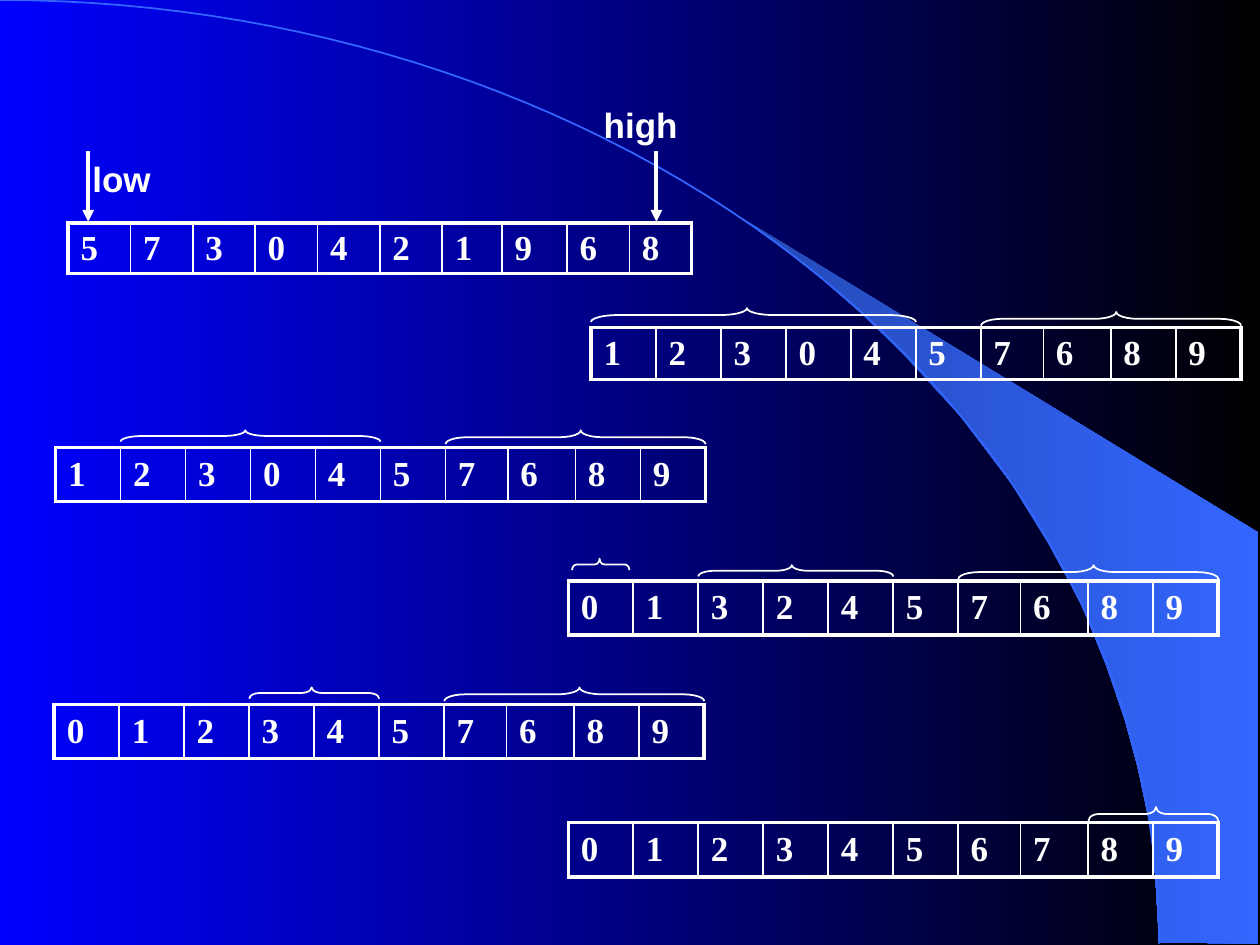
import math

import lxml.etree
import pptx
import pptx.dml.color
import pptx.enum.shapes
import pptx.enum.text
import pptx.oxml.ns
import pptx.util

Inches, Pt = pptx.util.Inches, pptx.util.Pt
RGBColor = pptx.dml.color.RGBColor
SHAPE = pptx.enum.shapes.MSO_SHAPE
qn = pptx.oxml.ns.qn

WHITE = RGBColor(0xFF, 0xFF, 0xFF)
BLUE = RGBColor(0x00, 0x00, 0xFF)
BLACK = RGBColor(0x00, 0x00, 0x00)
ARC_BLUE = RGBColor(0x33, 0x66, 0xFF)
BEAM_BLUE = RGBColor(0x24, 0x49, 0xB6)


def set_gradient(fill, start, end):
    fill.gradient()
    fill.gradient_angle = 0
    for stop, color in zip(fill.gradient_stops, (start, end)):
        stop.color.rgb = color


def add_run(p, text, font):
    r = p.add_run()
    r.text = text
    r.font.name = font
    r.font.size = Pt(20)
    r.font.bold = True
    r.font.color.rgb = WHITE


prs = pptx.Presentation()
prs.slide_width, prs.slide_height = Inches(10), Inches(7.5)
s = prs.slides.add_slide(prs.slide_layouts[6])
set_gradient(s.background.fill, BLUE, BLACK)

# Light beam behind the arc
BEAM = [(9.2, 7.48), (9.99, 7.49), (9.99, 4.23), (5.89, 1.73), (6.24, 1.99),
        (6.53, 2.22), (6.85, 2.5), (7.16, 2.8), (7.62, 3.3), (8.03, 3.84),
        (8.32, 4.31), (8.58, 4.79), (8.78, 5.28), (8.93, 5.72), (9.03, 6.09),
        (9.13, 6.56), (9.17, 6.96)]
points = [(Inches(x), Inches(y)) for x, y in BEAM]
builder = s.shapes.build_freeform(*points[0])
builder.add_line_segments(points[1:], close=True)
beam = builder.convert_to_shape()
beam.shadow.inherit = False
set_gradient(beam.fill, BEAM_BLUE, ARC_BLUE)
beam.line.fill.background()

# Quarter ellipse from the top left corner to the bottom edge
STEPS = 60
angles = [math.pi / 2 * i / STEPS for i in range(1, STEPS + 1)]
builder = s.shapes.build_freeform(0, 0)
builder.add_line_segments(
    [(Inches(9.2 * math.sin(a)), Inches(7.49 * (1 - math.cos(a)))) for a in angles],
    close=False)
arc = builder.convert_to_shape()
arc.shadow.inherit = False
arc.fill.background()
arc.line.color.rgb = ARC_BLUE
arc.line.width = Pt(1)

# Sorting steps: digits, left, top, width, height,
# braces as (first cell, last cell, centre y, depth, tip position)
STEPS_OF_SORT = [
    ("5730421968", 0.54, 1.77, 4.95, 0.4, []),
    ("1230457689", 4.69, 2.6, 5.16, 0.41,
     [(0, 4, 2.5, 0.11, 0.48), (6, 9, 2.53, 0.11, 0.52)]),
    ("1230457689", 0.44, 3.55, 5.16, 0.43,
     [(1, 4, 3.46, 0.09, 0.48), (6, 9, 3.5 - 0.03, 0.11, 0.52)]),
    ("0132457689", 4.51, 4.61, 5.16, 0.43,
     [(0, 0, 4.48, 0.09, 0.48), (2, 4, 4.53, 0.09, 0.48), (6, 9, 4.54, 0.11, 0.52)]),
    ("0123457689", 0.43, 5.59, 5.16, 0.43,
     [(3, 4, 5.5, 0.09, 0.48), (6, 9, 5.51, 0.11, 0.52)]),
    ("0123456789", 4.51, 6.53, 5.16, 0.43, [(8, 9, 6.46, 0.11, 0.52)]),
]
for digits, left, top, width, height, braces in STEPS_OF_SORT:
    pitch = width / len(digits)
    table = s.shapes.add_table(1, len(digits), Inches(left), Inches(top),
                               Inches(width), Inches(height)).table
    table.first_row = table.horz_banding = False
    table.rows[0].height = Inches(height)
    for i, digit in enumerate(digits):
        # The seventh column is a little narrow and the eighth a little wide
        table.columns[i].width = Inches(pitch + {6: -0.02, 7: 0.02}.get(i, 0))
        cell = table.cell(0, i)
        cell.margin_top = cell.margin_bottom = Inches(0.03)
        cell.vertical_anchor = pptx.enum.text.MSO_ANCHOR.MIDDLE
        add_run(cell.text_frame.paragraphs[0], digit, "Times New Roman")
        borders = {"a:lnL": 2.25 if i == 0 else 1,
                   "a:lnR": 2.25 if i == len(digits) - 1 else 1,
                   "a:lnT": 2.25, "a:lnB": 2.25}
        tcPr = cell._tc.get_or_add_tcPr()
        for tag, points in borders.items():
            ln = lxml.etree.SubElement(tcPr, qn(tag), w=str(Pt(points)))
            solid = lxml.etree.SubElement(ln, qn("a:solidFill"))
            lxml.etree.SubElement(solid, qn("a:srgbClr"), val=str(WHITE))
        cell.fill.background()

    for first, last, y, depth, tip in braces:
        span = (last - first + 1) * pitch
        if first == last:
            span -= 0.06
        x = left + (first + last + 1) / 2 * pitch
        brace = s.shapes.add_shape(
            SHAPE.RIGHT_BRACE, Inches(x - depth / 2), Inches(y - span / 2),
            Inches(depth), Inches(span))
        brace.rotation = 270
        brace.adjustments[0] = span / depth / 12
        brace.adjustments[1] = tip
        brace.shadow.inherit = False
        brace.fill.background()
        brace.line.color.rgb = WHITE
        brace.line.width = Pt(1)

# Pointers to both ends of the first row
for text, arrow_x, left, top in [("low", 0.7, 0.55, 1.2), ("high", 5.21, 4.67, 0.77)]:
    arrow = s.shapes.add_connector(
        pptx.enum.shapes.MSO_CONNECTOR.STRAIGHT,
        Inches(arrow_x), Inches(1.2), Inches(arrow_x), Inches(1.76))
    arrow.line.color.rgb = WHITE
    arrow.line.width = Pt(2.25)
    lxml.etree.SubElement(arrow.line._get_or_add_ln(), qn("a:tailEnd"), type="triangle")
    lxml.etree.SubElement(arrow._element.spPr, qn("a:effectLst"))

    tf = s.shapes.add_textbox(Inches(left), Inches(top), Inches(0.83), Inches(0.43)).text_frame
    tf.word_wrap = True
    p = tf.paragraphs[0]
    p.alignment = pptx.enum.text.PP_ALIGN.CENTER
    add_run(p, text, "Arial")

prs.save("out.pptx")
